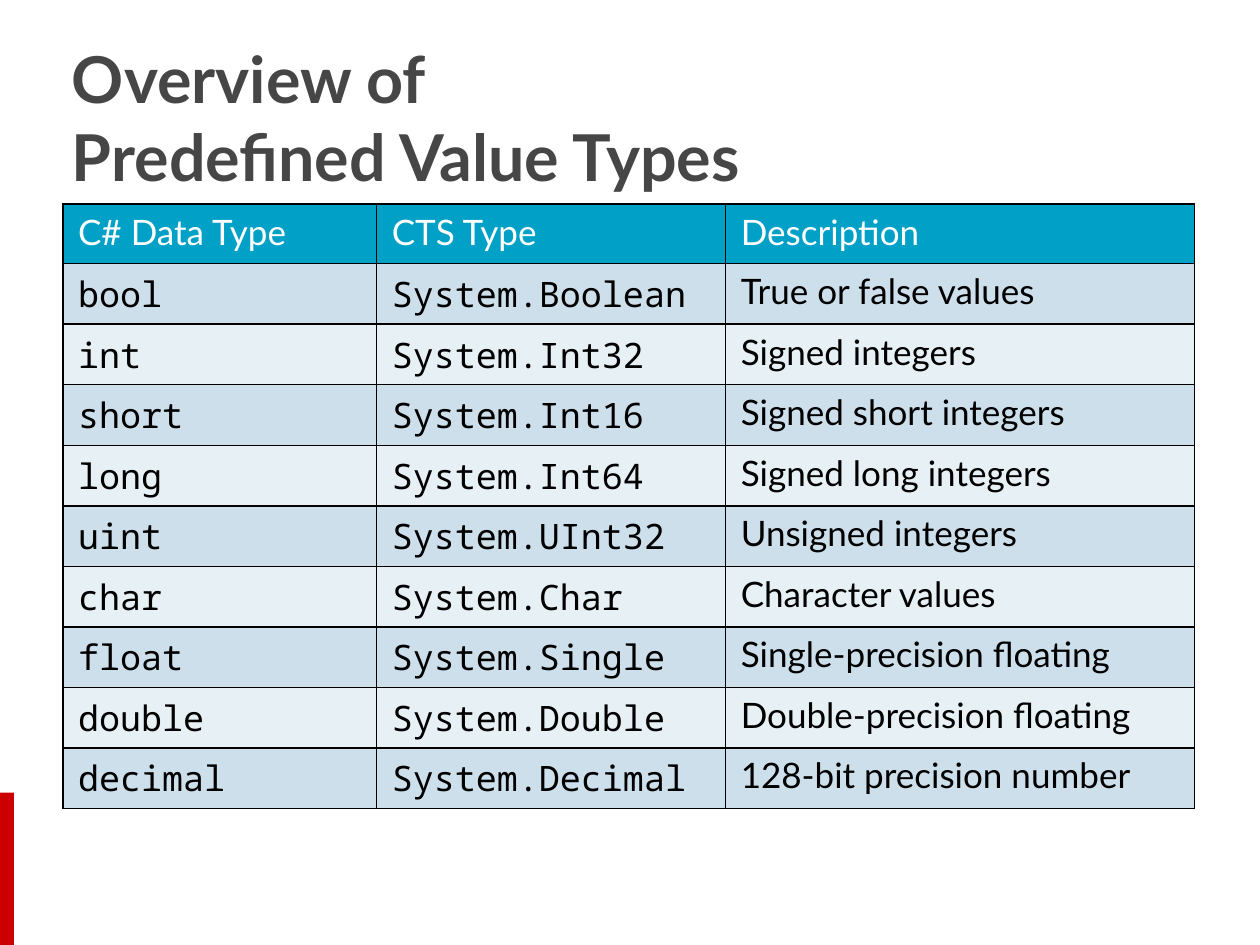
import dataclasses

import pptx
import pptx.dml.color
import pptx.enum.shapes
import pptx.enum.text
import pptx.oxml
import pptx.oxml.ns
import pptx.util
from pptx.util import Inches


@dataclasses.dataclass(frozen=True)
class Theme:
    text_font: str = "Lato"
    code_font: str = "Noto Sans Mono"
    title_size: float = 36.9
    table_size: float = 20
    title: str = "464646"
    accent: str = "CC0000"
    header_fill: str = "01A0C7"
    header_text: str = "FFFFFF"
    body_text: str = "000000"
    band_fills: tuple = ("CCDFEB", "E7F0F5")
    border: str = "000000"


THEME = Theme()

COLUMN_WIDTHS = (2.49, 2.77, 3.72)
HEADER = ("C# Data Type", "CTS Type", "Description")
VALUE_TYPES = (
    ("bool", "System.Boolean", "True or false values"),
    ("int", "System.Int32", "Signed integers"),
    ("short", "System.Int16", "Signed short integers"),
    ("long", "System.Int64", "Signed long integers"),
    ("uint", "System.UInt32", "Unsigned integers"),
    ("char", "System.Char", "Character values"),
    ("float", "System.Single", "Single-precision floating"),
    ("double", "System.Double", "Double-precision floating"),
    ("decimal", "System.Decimal", "128-bit precision number"),
)


def rgb(color):
    return pptx.dml.color.RGBColor.from_string(color)


def style_font(font, name, size, color, bold=False):
    font.name = name
    font.size = pptx.util.Pt(size)
    font.color.rgb = rgb(color)
    font.bold = bold


def add_accent_bar(slide, left, top, width, height):
    bar = slide.shapes.add_shape(
        pptx.enum.shapes.MSO_SHAPE.RECTANGLE, left, top, width, height)
    bar.shadow.inherit = False
    bar.fill.solid()
    bar.fill.fore_color.rgb = rgb(THEME.accent)
    bar.line.fill.background()


def place_title(slide, text, left, top, width, height):
    title = slide.shapes.title
    title.left, title.top, title.width, title.height = left, top, width, height
    frame = title.text_frame
    frame.text = text
    frame.word_wrap = True
    frame.auto_size = pptx.enum.text.MSO_AUTO_SIZE.NONE
    frame.vertical_anchor = pptx.enum.text.MSO_ANCHOR.MIDDLE
    paragraph = frame.paragraphs[0]
    paragraph.alignment = pptx.enum.text.PP_ALIGN.LEFT
    style_font(paragraph.font, THEME.text_font, THEME.title_size, THEME.title, True)


def set_borders(cell):
    properties = cell._tc.get_or_add_tcPr()
    for index, side in enumerate(("lnL", "lnR", "lnT", "lnB")):
        line = pptx.oxml.parse_xml(
            f'<a:{side} {pptx.oxml.ns.nsdecls("a")} w="{pptx.util.Pt(1)}">'
            f'<a:solidFill><a:srgbClr val="{THEME.border}"/></a:solidFill></a:{side}>')
        properties.insert(index, line)  # borders come before the fill


def fill_cell(cell, text, fill, font_name, color):
    cell.margin_left = cell.margin_right = Inches(0.12)
    cell.margin_top = cell.margin_bottom = Inches(0.05)
    cell.fill.solid()
    cell.fill.fore_color.rgb = rgb(fill)
    cell.text = text
    style_font(cell.text_frame.paragraphs[0].font, font_name, THEME.table_size, color)
    set_borders(cell)


def add_type_table(slide, left, top, width, height):
    rows = (HEADER, *VALUE_TYPES)
    table = slide.shapes.add_table(
        len(rows), len(HEADER), left, top, width, height).table
    for column, column_width in zip(table.columns, COLUMN_WIDTHS):
        column.width = Inches(column_width)

    for row_index, row in enumerate(rows):
        is_header = row_index == 0
        fill = THEME.header_fill if is_header else THEME.band_fills[(row_index - 1) % 2]
        color = THEME.header_text if is_header else THEME.body_text
        for column_index, text in enumerate(row):
            is_code = not is_header and column_index < 2
            font_name = THEME.code_font if is_code else THEME.text_font
            fill_cell(table.cell(row_index, column_index), text, fill, font_name, color)


def main():
    presentation = pptx.Presentation()
    presentation.slide_width = Inches(10)
    presentation.slide_height = Inches(7.5)
    slide = presentation.slides.add_slide(presentation.slide_layouts[5])

    # Accent in the bottom left corner
    add_accent_bar(slide, 0, Inches(6.29), Inches(0.11), Inches(1.21))
    # Title on two lines
    place_title(slide, "Overview of\vPredefined Value Types",
                Inches(0.47), Inches(0.3), Inches(9.03), Inches(1.25))
    # Value types
    add_type_table(slide, Inches(0.5), Inches(1.62),
                   Inches(sum(COLUMN_WIDTHS)), Inches(4.73))

    presentation.save("out.pptx")


if __name__ == "__main__":
    main()
